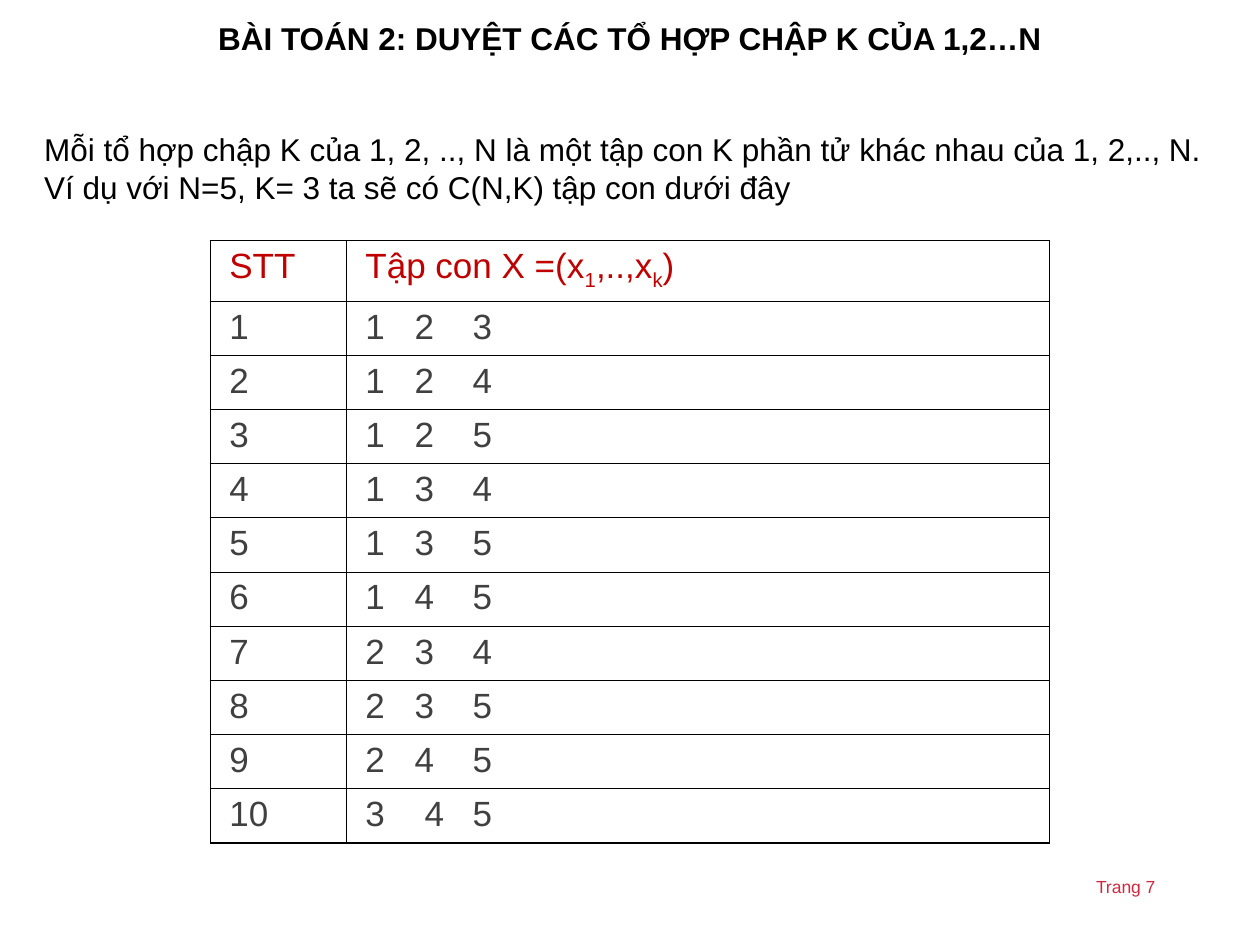
from itertools import combinations

from lxml.etree import SubElement
from pptx import Presentation
from pptx.dml.color import RGBColor
from pptx.enum.text import MSO_ANCHOR as ANCHOR, MSO_AUTO_SIZE as AUTO, PP_ALIGN as ALIGN
from pptx.oxml import parse_xml
from pptx.oxml.ns import nsdecls, qn
from pptx.util import Inches, Pt

BLACK = RGBColor(0x00, 0x00, 0x00)
RED = RGBColor(0xC0, 0x00, 0x00)
GREY = RGBColor(0x40, 0x40, 0x40)
CRIMSON = RGBColor(0xCF, 0x29, 0x41)

FONT = "Arial"
N, K = 5, 3
COLUMNS = (1.08, 5.58)
HEADER_HEIGHT, ROW_HEIGHT = 0.48, 0.43
OUTER, INNER = 1.08, 0.45
TAB_STOPS, LAST_TAB_STOPS = (0.39, 0.85), (0.47, 0.85)


def format_runs(p, size, color, bold=False):
    for r in p.runs:
        r.font.name, r.font.size, r.font.bold = FONT, Pt(size), bold
        r.font.color.rgb = color


def fill_text(sp, box, text, size, color, bold=False, align=ALIGN.LEFT):
    """Place a text shape and set its single paragraph, without a bullet."""
    sp.left, sp.top, sp.width, sp.height = map(Inches, box)
    tf = sp.text_frame
    tf.word_wrap, tf.auto_size = True, AUTO.NONE
    tf.vertical_anchor = ANCHOR.TOP
    tf.text = text
    p = tf.paragraphs[0]
    p.alignment, p.space_before = align, Pt(0)
    pPr = p._p.get_or_add_pPr()
    pPr.set("marL", "0")
    pPr.set("indent", "0")
    SubElement(pPr, qn("a:buNone"))
    format_runs(p, size, color, bold)


def set_borders(cell, widths):
    """Draw the left, right, top and bottom borders, widths in points."""
    tcPr = cell._tc.get_or_add_tcPr()
    for i, (side, width) in enumerate(zip("LRTB", widths)):
        tcPr.insert(i, parse_xml(
            f'<a:ln{side} {nsdecls("a")} w="{int(Pt(width))}"><a:solidFill>'
            f'<a:srgbClr val="{BLACK}"/></a:solidFill></a:ln{side}>'))


def fill_cell(cell, parts, color, stops=()):
    """Write the parts as runs; every second part is a subscript."""
    cell.fill.background()
    cell.margin_left = Inches(0.15)
    p = cell.text_frame.paragraphs[0]
    p.space_before, p.space_after = Pt(5), Pt(3)
    for i, part in enumerate(parts):
        r = p.add_run()
        r.text = part
        if i % 2:
            r.font._element.set("baseline", "-25000")
    format_runs(p, 20, color)
    if stops:
        tabs = SubElement(p._p.get_or_add_pPr(), qn("a:tabLst"))
        for stop in stops:
            SubElement(tabs, qn("a:tab"), pos=str(int(Inches(stop))), algn="l")


def add_subset_table(slide, left, top):
    subsets = list(combinations(range(1, N + 1), K))
    count = len(subsets)
    height = HEADER_HEIGHT + count * ROW_HEIGHT
    table = slide.shapes.add_table(
        count + 1, len(COLUMNS), Inches(left), Inches(top),
        Inches(sum(COLUMNS)), Inches(height)).table
    table.first_row = table.horz_banding = False
    for column, width in zip(table.columns, COLUMNS):
        column.width = Inches(width)
    for i, row in enumerate(table.rows):
        row.height = Inches(ROW_HEIGHT if i else HEADER_HEIGHT)

    # Header, then one row per subset
    fill_cell(table.cell(0, 0), ["STT"], RED)
    fill_cell(table.cell(0, 1), ["Tập con X =(x", "1", ",..,x", "k", ")"], RED)
    for i, subset in enumerate(subsets, 1):
        stops = LAST_TAB_STOPS if i == count else TAB_STOPS
        fill_cell(table.cell(i, 0), [str(i)], GREY)
        fill_cell(table.cell(i, 1), ["\t".join(map(str, subset))], GREY, stops)

    # Thick frame, thin inner rules
    for i in range(count + 1):
        for j in range(len(COLUMNS)):
            edges = (j == 0, j == len(COLUMNS) - 1, i == 0, i == count)
            set_borders(table.cell(i, j), [OUTER if e else INNER for e in edges])


def main():
    prs = Presentation()
    prs.slide_width, prs.slide_height = Inches(10), Inches(7.5)
    slide = prs.slides.add_slide(prs.slide_layouts[1])

    # Title and introduction
    fill_text(slide.shapes.title, (0.25, 0.1, 9.5, 0.45),
              "BÀI TOÁN 2: DUYỆT CÁC TỔ HỢP CHẬP K CỦA 1,2…N",
              18, BLACK, bold=True, align=ALIGN.CENTER)
    fill_text(slide.placeholders[1], (0.25, 0.98, 9.5, 0.67),
              "Mỗi tổ hợp chập K của 1, 2, .., N là một tập con K phần tử khác nhau "
              "của 1, 2,.., N. Ví dụ với N=5, K= 3 ta sẽ có C(N,K) tập con dưới đây",
              18, BLACK)

    # Table of subsets
    add_subset_table(slide, 1.67, 1.91)

    # Page label
    label = slide.shapes.add_textbox(0, 0, 0, 0)
    fill_text(label, (8.6, 6.9, 1.21, 0.27), "Trang 7", 10, CRIMSON)

    prs.save("out.pptx")


if __name__ == "__main__":
    main()
